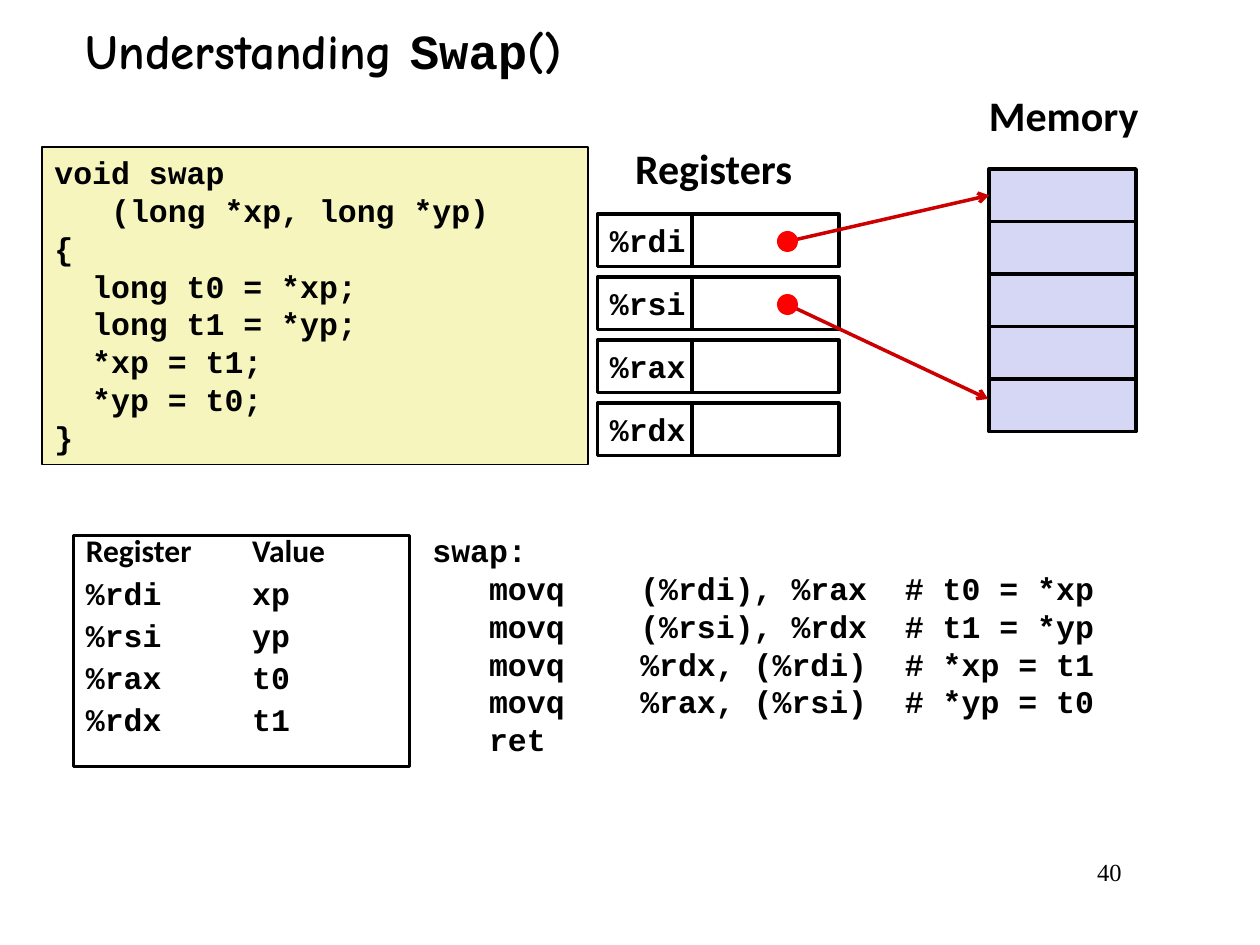
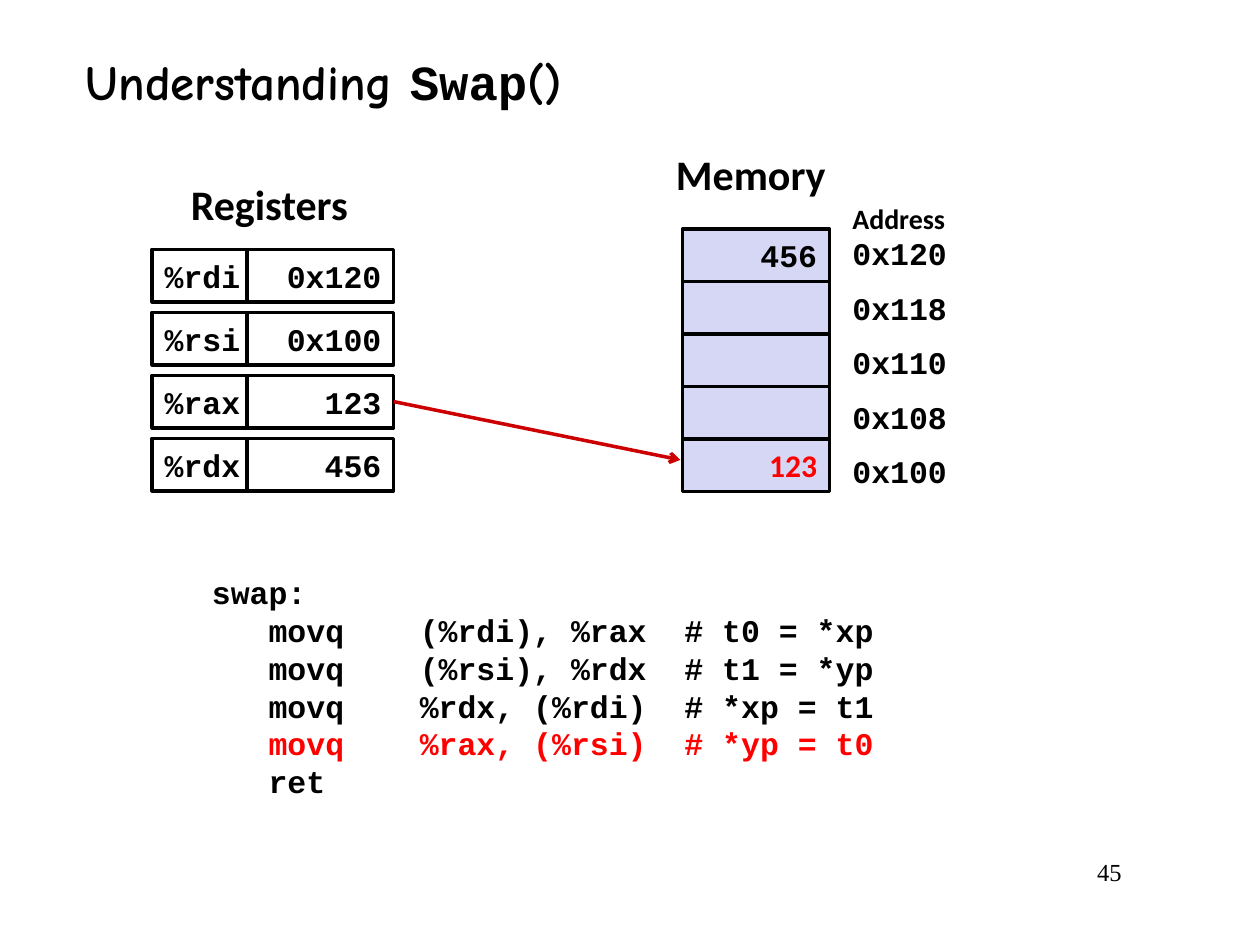
from lxml.etree import SubElement
from pptx import Presentation
from pptx.dml.color import RGBColor
from pptx.enum.shapes import MSO_CONNECTOR, MSO_SHAPE
from pptx.enum.text import MSO_ANCHOR as ANCHOR, PP_ALIGN as ALIGN
from pptx.oxml.ns import qn
from pptx.util import Inches, Pt

MONO, SANS, HAND, SERIF = "Courier New", "Calibri", "Comic Neue", "Times New Roman"
BLACK, WHITE, RED, ARROW = "000000", "FFFFFF", "FF0000", "CC0000"
CODE_FILL, MEMORY_FILL = "F6F5BD", "D6D6F5"

# Lengths are columns and rows of a 120 x 90 grid.
COLUMNS, ROWS = 120, 90
WIDTH, HEIGHT = Inches(10), Inches(7.5)
NAME_W, CELL_W, CELL_H, REGISTER_STEP = 9, 14, 5, 6

TITLE = [("Understanding ", HAND), ("Swap", MONO), ("()", HAND)]
REGISTERS = ["%rdi", "%rsi", "%rax", "%rdx"]
C_CODE = [
    "void swap",
    "   (long *xp, long *yp)",
    "{",
    "  long t0 = *xp;",
    "  long t1 = *yp;",
    "  *xp = t1;",
    "  *yp = t0;",
    "}",
]
ASSEMBLY = [
    "swap:",
    "   movq    (%rdi), %rax  # t0 = *xp",
    "   movq    (%rsi), %rdx  # t1 = *yp",
    "   movq    %rdx, (%rdi)  # *xp = t1",
    "   movq    %rax, (%rsi)  # *yp = t0",
    "   ret",
]
ROLES = ["xp", "yp", "t0", "t1"]
ADDRESSES = ["0x120", "0x118", "0x110", "0x108", "0x100"]

POINTERS = {
    "number": "40", "title_row": 1, "assembly": (40, 50),
    "registers": (56.9, 20.4), "registers_heading": (59.3, 13),
    "values": ["", "", "", ""],
    "memory": (94.2, 16.1), "memory_heading": (93, 7.9),
    "words": ["", "", "", "", ""],
}
STORED = {
    "number": "45", "title_row": 4, "assembly": (19, 54), "current": 4,
    "registers": (14.5, 23.75), "registers_heading": (17, 16.4),
    "values": ["0x120", "0x100", "123", "456"],
    "memory": (65, 21.8), "memory_heading": (63.2, 13.6),
    "words": ["456", "", "", "", "123"], "changed": 4,
}


def x(columns):
    return round(columns * WIDTH / COLUMNS)


def y(rows):
    return round(rows * HEIGHT / ROWS)


def place(left, top, width, height):
    return x(left), y(top), x(width), y(height)


def color(hex_code):
    return RGBColor.from_string(hex_code)


def style(run, size, font, ink=BLACK, bold=True):
    run.font.size, run.font.name, run.font.bold = Pt(size), font, bold
    run.font.color.rgb = color(ink)


def write(shape, lines, size=18, font=MONO, ink=BLACK, bold=True,
          align=ALIGN.LEFT, anchor=ANCHOR.TOP, wrap=True):
    frame = shape.text_frame
    frame.text = "\n".join(lines)
    frame.word_wrap, frame.vertical_anchor = wrap, anchor
    for paragraph in frame.paragraphs:
        paragraph.alignment = align
        for run in paragraph.runs:
            style(run, size, font, ink, bold)
    return frame


def label(slide, area, lines, **look):
    return write(slide.shapes.add_textbox(*place(*area)), lines, **look)


def box(slide, area, fill=None, line=2, kind=MSO_SHAPE.RECTANGLE):
    shape = slide.shapes.add_shape(kind, *place(*area))
    shape.shadow.inherit = False
    if fill:
        shape.fill.solid()
        shape.fill.fore_color.rgb = color(fill)
    else:
        shape.fill.background()
    if line:
        shape.line.color.rgb, shape.line.width = color(BLACK), Pt(line)
    else:
        shape.line.fill.background()
    return shape


def cell(slide, area, fill, text, align=ALIGN.RIGHT, **look):
    shape = box(slide, area, fill)
    if text:
        write(shape, [text], align=align, anchor=ANCHOR.MIDDLE, wrap=False, **look)
    return shape


def arrow(slide, start, end):
    link = slide.shapes.add_connector(
        MSO_CONNECTOR.STRAIGHT, x(start[0]), y(start[1]), x(end[0]), y(end[1]))
    link.line.color.rgb, link.line.width = color(ARROW), Pt(2)
    properties = link._element.spPr
    SubElement(properties.find(qn("a:ln")), qn("a:tailEnd"), type="arrow")
    SubElement(properties, qn("a:effectLst"))
    return link


def heading(slide, spot, text, width):
    label(slide, (*spot, width, 6), [text], size=24, font=SANS, wrap=False)


def draw_registers(slide, state):
    left, top = state["registers"]
    heading(slide, state["registers_heading"], "Registers", 17.8)
    value_cells = []
    for i, (name, value) in enumerate(zip(REGISTERS, state["values"])):
        row = top + i * REGISTER_STEP
        cell(slide, (left, row, NAME_W, CELL_H), WHITE, name, ALIGN.LEFT)
        value_cells.append(
            cell(slide, (left + NAME_W, row, CELL_W, CELL_H), WHITE, value))
    return value_cells


def draw_memory(slide, state):
    left, top = state["memory"]
    heading(slide, state["memory_heading"], "Memory", 16.8)
    words = []
    for i, word in enumerate(state["words"]):
        look = {"font": SANS, "ink": RED} if i == state.get("changed") else {}
        area = (left, top + i * CELL_H, CELL_W, CELL_H)
        words.append(cell(slide, area, MEMORY_FILL, word, **look))
    return words


def draw_shared(deck, state):
    slide = deck.slides.add_slide(deck.slide_layouts[6])
    title = label(slide, (7, state["title_row"], 83.6, 7.5), [""], anchor=ANCHOR.MIDDLE)
    for text, font in TITLE:
        run = title.paragraphs[0].add_run()
        run.text = text
        style(run, 28, font)
    code = label(slide, (*state["assembly"], 77, 23), ASSEMBLY)
    if "current" in state:
        code.paragraphs[state["current"]].runs[0].font.color.rgb = color(RED)
    label(slide, (91, 81, 17, 6), [state["number"]], size=14, font=SERIF,
          bold=False, align=ALIGN.RIGHT)
    return slide, draw_registers(slide, state), draw_memory(slide, state)


def draw_roles(slide):
    rows = ["Register\tValue"] + [f"{r}\t{v}" for r, v in zip(REGISTERS, ROLES)]
    frame = write(box(slide, (7, 51, 32, 22)), rows)
    for paragraph in frame.paragraphs:
        paragraph.line_spacing = 0.7
        properties = paragraph._p.get_or_add_pPr()
        before = SubElement(properties, qn("a:spcBef"))
        SubElement(before, qn("a:spcPct"), val="50000")
        stops = SubElement(properties, qn("a:tabLst"))
        SubElement(stops, qn("a:tab"), pos=str(Inches(1.32)), algn="l")
    for run in frame.paragraphs[0].runs:
        run.font.name = SANS


def draw_pointers(deck):
    slide, _, words = draw_shared(deck, POINTERS)
    write(box(slide, (4, 14, 52, 30.25), CODE_FILL, line=1), C_CODE)
    draw_roles(slide)
    xp, yp = (75, 23), (75, 29)
    arrow(slide, xp, (94.2, 18.6)).end_connect(words[0], 1)
    arrow(slide, yp, (94.1, 38))
    for column, row in (xp, yp):
        box(slide, (column - 1, row - 1, 2, 2), RED, line=0, kind=MSO_SHAPE.OVAL)


def draw_stored(deck):
    slide, value_cells, _ = draw_shared(deck, STORED)
    arrow(slide, (37.5, 38.25), (64.8, 43.8)).begin_connect(value_cells[2], 3)
    label(slide, (80, 18.6, 16, 4.4), ["Address"], size=16, font=SANS)
    for i, address in enumerate(ADDRESSES):
        label(slide, (80, 21.7 + i * 5.2, 16, 4.8), [address])


def main():
    deck = Presentation()
    deck.slide_width, deck.slide_height = WIDTH, HEIGHT
    draw_pointers(deck)
    draw_stored(deck)
    deck.save("out.pptx")


if __name__ == "__main__":
    main()
